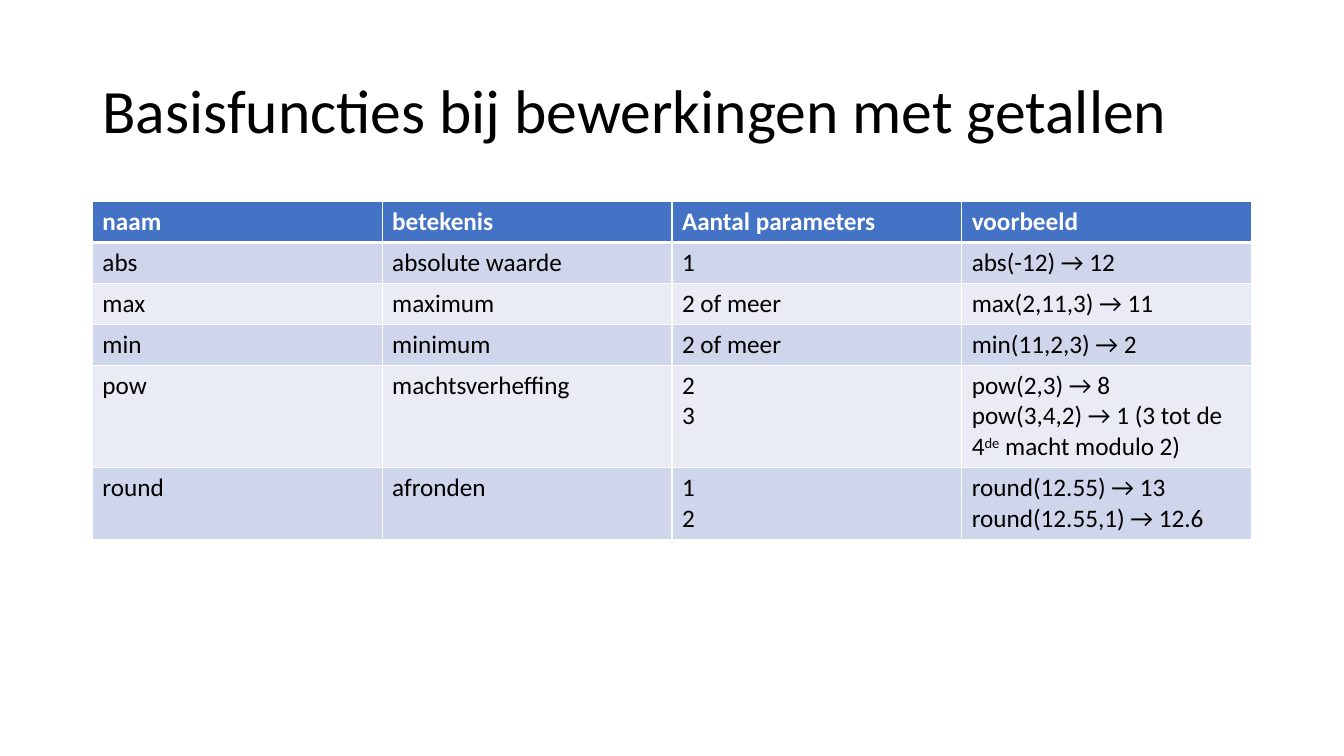
from lxml import etree
from pptx import Presentation
from pptx.dml.color import RGBColor
from pptx.enum.text import MSO_ANCHOR, MSO_AUTO_SIZE, PP_ALIGN
from pptx.oxml.ns import qn
from pptx.util import Pt

LEFT, MIDDLE, NO_FIT = PP_ALIGN.LEFT, MSO_ANCHOR.MIDDLE, MSO_AUTO_SIZE.NONE

TITLE = "Basisfuncties bij bewerkingen met getallen"
ROWS = [
    ("naam", "betekenis", "Aantal parameters", "voorbeeld"),
    ("abs", "absolute waarde", "1", "abs(-12) → 12"),
    ("max", "maximum", "2 of meer", "max(2,11,3) → 11"),
    ("min", "minimum", "2 of meer", "min(11,2,3) → 2"),
    ("pow", "machtsverheffing", "2\n3",
     "pow(2,3) → 8\npow(3,4,2) → 1 (3 tot de 4^de^ macht modulo 2)"),
    ("round", "afronden", "1\n2", "round(12.55) → 13\nround(12.55,1) → 12.6"),
]
SUPERSCRIPT_MARK = "^"

THEME = {
    "font": "Calibri", "title_size": 44, "cell_size": 18,
    "text": "000000", "header_text": "FFFFFF", "header": "4472C4",
    "bands": ("E9EBF5", "CFD5EA"), "border": "FFFFFF",
    "thin": 1, "thick": 3,
}

SLIDE_W, SLIDE_H = 960, 540
MARGIN = 66
CONTENT_W = SLIDE_W - 2 * MARGIN
TITLE_TOP, TITLE_H = 28.75, 104.4
TABLE_TOP, ROW_H = 144, 29.2


def set_attrs(obj, values):
    for name, value in values.items():
        setattr(obj, name, value)


def style_run(r, size, color, bold=False):
    set_attrs(r.font, {"name": THEME["font"], "size": Pt(size), "bold": bold})
    r.font.color.rgb = RGBColor.from_string(color)


def add_border(tc_pr, side, width):
    ln = etree.SubElement(tc_pr, qn(f"a:ln{side}"), w=str(Pt(width)))
    fill = etree.SubElement(ln, qn("a:solidFill"))
    etree.SubElement(fill, qn("a:srgbClr"), val=THEME["border"])


def fill_cell(cell, text, row):
    header = row == 0
    widths = {side: THEME["thin"] for side in "LRTB"}
    if row < 2:
        widths["B" if header else "T"] = THEME["thick"]
    tc_pr = cell._tc.get_or_add_tcPr()
    for side, width in widths.items():
        add_border(tc_pr, side, width)
    cell.fill.solid()
    color = THEME["header"] if header else THEME["bands"][row % 2]
    cell.fill.fore_color.rgb = RGBColor.from_string(color)
    tf = cell.text_frame
    for i, line in enumerate(text.split("\n")):
        p = tf.add_paragraph() if i else tf.paragraphs[0]
        for j, part in enumerate(line.split(SUPERSCRIPT_MARK)):
            r = p.add_run()
            r.text = part
            style_run(r, THEME["cell_size"],
                      THEME["header_text" if header else "text"], header)
            if j % 2:
                r.font._element.set("baseline", "30000")


def add_title(s):
    sp = s.shapes.title
    set_attrs(sp, {"left": Pt(MARGIN), "top": Pt(TITLE_TOP),
                   "width": Pt(CONTENT_W), "height": Pt(TITLE_H)})
    tf = sp.text_frame
    set_attrs(tf, {"word_wrap": True, "auto_size": NO_FIT,
                   "vertical_anchor": MIDDLE})
    p = tf.paragraphs[0]
    set_attrs(p, {"alignment": LEFT, "line_spacing": 0.9})
    r = p.add_run()
    r.text = TITLE
    style_run(r, THEME["title_size"], THEME["text"])


def add_function_table(s):
    n_rows, n_cols = len(ROWS), len(ROWS[0])
    table = s.shapes.add_table(n_rows, n_cols, Pt(MARGIN), Pt(TABLE_TOP),
                               Pt(CONTENT_W), Pt(ROW_H * n_rows)).table
    for col in table.columns:
        col.width = Pt(CONTENT_W / n_cols)
    for i, texts in enumerate(ROWS):
        table.rows[i].height = Pt(ROW_H)
        for j, text in enumerate(texts):
            fill_cell(table.cell(i, j), text, i)


def main():
    prs = Presentation()
    set_attrs(prs, {"slide_width": Pt(SLIDE_W), "slide_height": Pt(SLIDE_H)})
    s = prs.slides.add_slide(prs.slide_layouts.get_by_name("Title Only"))
    add_title(s)
    add_function_table(s)
    prs.save("out.pptx")


if __name__ == "__main__":
    main()
